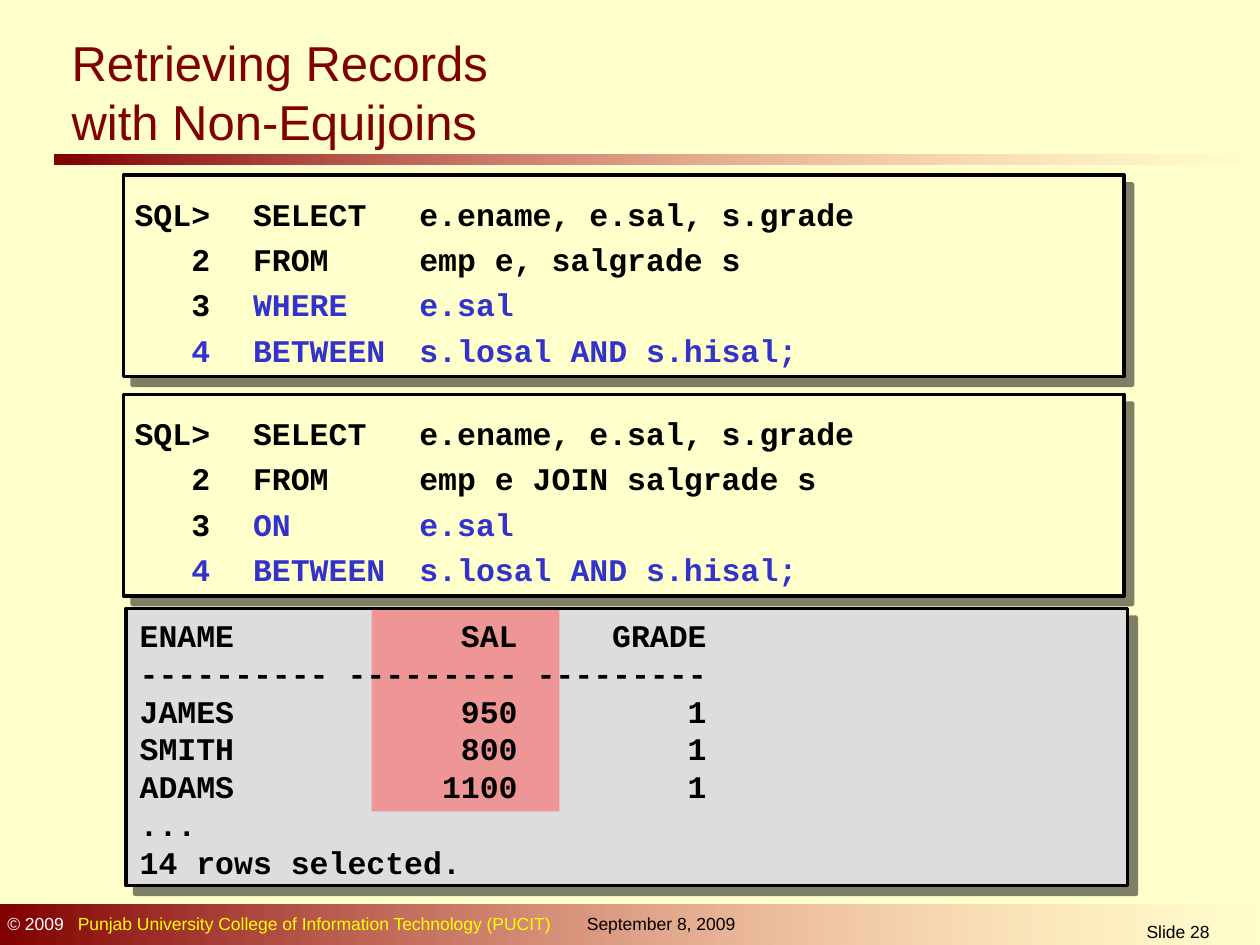
from dataclasses import dataclass

from lxml.etree import SubElement
from pptx import Presentation
from pptx.dml.color import RGBColor as RGB
from pptx.enum.shapes import MSO_SHAPE as Shape
from pptx.enum.text import MSO_ANCHOR as Anchor, PP_ALIGN as Align
from pptx.oxml.ns import qn
from pptx.util import Inches, Pt


@dataclass(frozen=True)
class Theme:
    cream: RGB = RGB.from_string("FFFFCC")
    maroon: RGB = RGB.from_string("800000")
    rose: RGB = RGB.from_string("FF8585")
    highlight: RGB = RGB.from_string("FF5050")
    grey: RGB = RGB.from_string("DDDDDD")
    black: RGB = RGB.from_string("000000")
    white: RGB = RGB.from_string("FFFFFF")
    yellow: RGB = RGB.from_string("FFFF00")
    blue: RGB = RGB.from_string("3333CC")
    title_font: dict = None
    code_font: dict = None
    footer_font: dict = None


theme = Theme(
    title_font={"name": "Arial", "size": Pt(28)},
    code_font={"name": "Courier New", "size": Pt(18), "bold": True},
    footer_font={"name": "Arial", "size": Pt(10)},
)

deck = Presentation()
deck.slide_width, deck.slide_height = Inches(10), Inches(7.5)
slide = deck.slides.add_slide(deck.slide_layouts[6])
slide.background.fill.solid()
slide.background.fill.fore_color.rgb = theme.cream


def add_block(area, colour, framed=False):
    """Add a plain rectangle, or a framed one with a drop shadow."""
    block = slide.shapes.add_shape(Shape.RECTANGLE, *map(Inches, area))
    block.fill.solid()
    block.fill.fore_color.rgb = colour
    block.shadow.inherit = False
    if framed:
        block.line.color.rgb = theme.black
        block.line.width = Pt(2)
        effects = block._element.spPr.find(qn("a:effectLst"))
        shadow = SubElement(effects, qn("a:outerShdw"), dist=str(Pt(7.1)),
                            dir="2700000", algn="ctr", rotWithShape="0")
        tint = SubElement(shadow, qn("a:srgbClr"), val="000000")
        SubElement(tint, qn("a:alpha"), val="50000")
    else:
        block.line.fill.background()
    return block


def add_text(area, lines, font, tabs=(), anchor=Anchor.TOP, **layout):
    """Add lines of (text, colour) pieces; tabs are (inches, alignment)."""
    frame = slide.shapes.add_textbox(*map(Inches, area)).text_frame
    frame.word_wrap = True
    frame.vertical_anchor = anchor
    for number, pieces in enumerate(lines):
        paragraph = frame.add_paragraph() if number else frame.paragraphs[0]
        if tabs:
            stops = SubElement(paragraph._p.get_or_add_pPr(), qn("a:tabLst"))
            for position, side in tabs:
                SubElement(stops, qn("a:tab"), pos=str(Inches(position)), algn=side)
        for key, value in layout.items():
            setattr(paragraph, key, value)
        for text, colour in pieces:
            if text == "\n":
                paragraph.add_line_break()
                continue
            run = paragraph.add_run()
            run.text = text
            for key, value in font.items():
                setattr(run.font, key, value)
            run.font.color.rgb = colour


# Title rule and footer band, both fading out to the right
for area in [(0.43, 1.23, 9.57, 0.08), (0, 7.18, 10.03, 0.35)]:
    band = add_block(area, theme.maroon)
    band.fill.gradient()
    band.fill.gradient_angle = 0
    for stop, colour in zip(band.fill.gradient_stops, (theme.maroon, theme.rose)):
        stop.color.rgb = colour
    end_colour = list(band._element.spPr.iter(qn("a:srgbClr")))[-1]
    SubElement(end_colour, qn("a:alpha"), val="0")

# Footer
add_text((-0.04, 7.2, 4.6, 0.27),
         [[("© 2009\t", theme.white),
           ("Punjab University College of Information Technology (PUCIT)", theme.yellow)]],
         theme.footer_font, tabs=[(0.56, "l")])
add_text((4.56, 7.2, 1.54, 0.27), [[("September 8, 2009", theme.black)]],
         theme.footer_font)
add_text((8.31, 7.26, 2.08, 0.24), [[("Slide 28", theme.black)]],
         theme.footer_font, alignment=Align.CENTER)

# Title
add_text((0.47, 0.21, 9.05, 1.02),
         [[("Retrieving Records", theme.maroon), ("\n", None),
           ("with Non-Equijoins", theme.maroon)]],
         theme.title_font)

# Query result, with the salary column highlighted
add_block((1, 4.83, 7.95, 2.2), theme.grey, framed=True)
salary_column = add_block((2.95, 4.84, 1.49, 1.6), theme.highlight)
salary_colour = salary_column._element.spPr.find(".//" + qn("a:srgbClr"))
SubElement(salary_colour, qn("a:alpha"), val="50000")
result_rows = [
    "ENAME\tSAL\tGRADE",
    "---------- --------- ---------",
    "JAMES\t950\t1",
    "SMITH\t800\t1",
    "ADAMS\t1100\t1",
    "...",
    "14 rows selected.",
]
add_text((1.01, 4.84, 7.92, 2.2), [[(row, theme.black)] for row in result_rows],
         theme.code_font, tabs=[(3, "r"), (4.5, "r")])

# The two equivalent queries: source table and join keyword differ
queries = [
    (1.39, "emp e, salgrade s", "WHERE"),
    (3.13, "emp e JOIN salgrade s", "ON"),
]
for top, source, keyword in queries:
    add_block((0.98, top, 7.94, 1.6), theme.cream, framed=True)
    query_lines = [
        [("SQL>\tSELECT\te.ename, e.sal, s.grade", theme.black)],
        [(f"   2\tFROM\t{source}", theme.black)],
        [("   3\t", theme.black), (f"{keyword}\te.sal", theme.blue)],
        [("   4\tBETWEEN\ts.losal AND s.hisal;", theme.blue)],
    ]
    add_text((0.97, top, 7.97, 1.63), query_lines, theme.code_font,
             tabs=[(0.94, "l"), (2.26, "l")], anchor=Anchor.MIDDLE, line_spacing=1.2)

deck.save("out.pptx")
